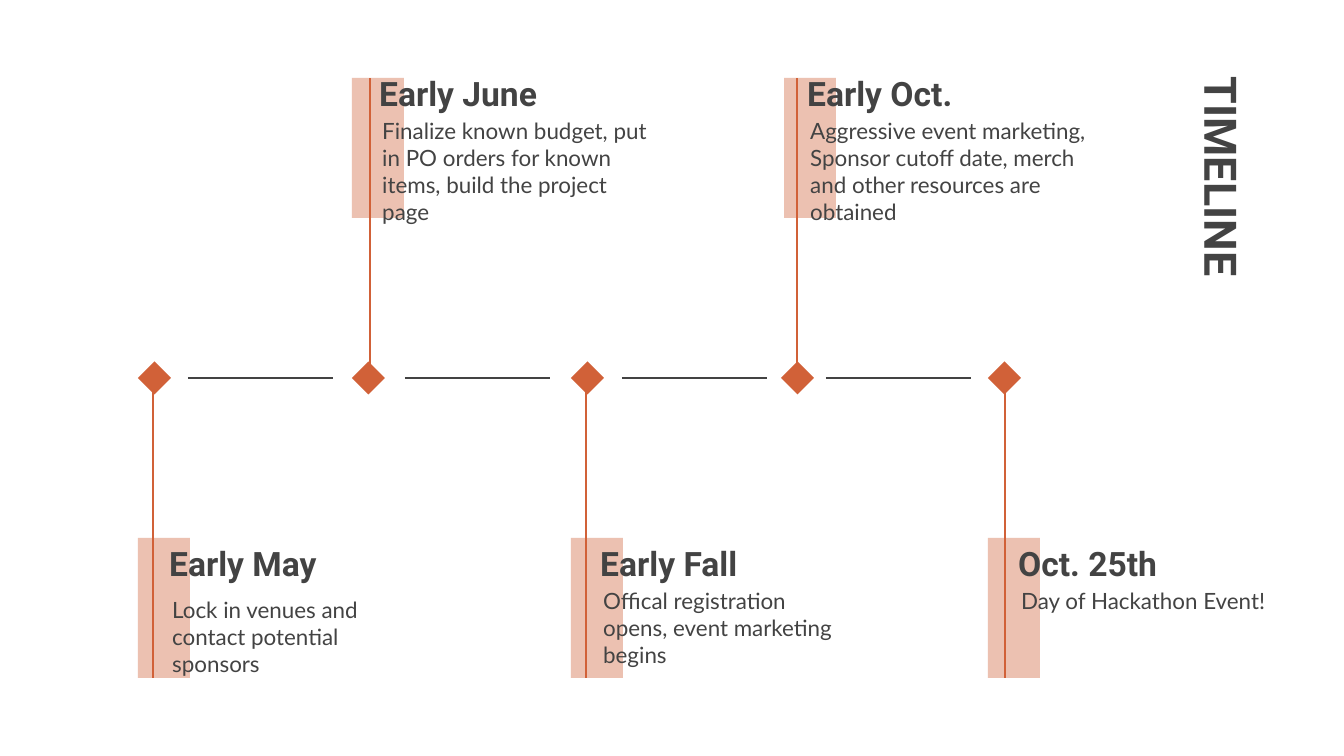
from dataclasses import dataclass

from lxml import etree
from pptx import Presentation
from pptx.dml.color import RGBColor
from pptx.enum.shapes import MSO_CONNECTOR, MSO_SHAPE
from pptx.enum.text import MSO_ANCHOR, MSO_AUTO_SIZE, PP_ALIGN
from pptx.oxml.ns import qn
from pptx.util import Emu, Pt

RECTANGLE, DIAMOND = MSO_SHAPE.RECTANGLE, MSO_SHAPE.DIAMOND
STRAIGHT = MSO_CONNECTOR.STRAIGHT
TOP, LEFT, NO_FIT = MSO_ANCHOR.TOP, PP_ALIGN.LEFT, MSO_AUTO_SIZE.NONE

# Content: wording and horizontal places in px
TITLE = "TIMELINE"
MILESTONES = [
    dict(name="Early May", text="Lock in venues and contact potential sponsors", row="below",
         marker=138, band=138, stem=153, label=156, label_width=214, text_width=274, drop=9),
    dict(name="Early June", row="above",
         text="Finalize known budget, put in PO orders for known items, build the project page",
         marker=352, band=352, stem=370, label=366, label_width=222, text_width=304, drop=0),
    dict(name="Early Fall", text="Offical registration opens, event marketing begins", row="below",
         marker=571, band=571, stem=586, label=587, label_width=184, text_width=274, drop=0),
    dict(name="Early Oct.", row="above",
         text="Aggressive event marketing, Sponsor cutoff date, merch and other resources are obtained",
         marker=781, band=784, stem=797, label=794, label_width=214, text_width=317, drop=0),
    dict(name="Oct. 25th", text="Day of Hackathon Event!", row="below",
         marker=988, band=988, stem=1005, label=1005, label_width=191, text_width=274, drop=0),
]
DASHES = [188, 405, 622, 826]

# Vertical places of the two rows, in px
ROWS = {
    "above": dict(band=78, stem=(387, 78), label=59, label_height=66, text=104, text_height=99),
    "below": dict(band=538, stem=(678, 379), label=530, label_height=62, text=574, text_height=94),
}
AXIS_Y, DASH_WIDTH, MARKER = 378, 145, 33
BAND_WIDTH, BAND_HEIGHT, TEXT_INDENT = 52, 140, 3


@dataclass(frozen=True)
class Theme:
    ink: str = "434343"
    accent: str = "D16138"
    tint: str = "DF957A"
    tint_alpha: int = 58
    heading_font: str = "Roboto"
    body_font: str = "Lato"
    title_size: int = 24
    label_size: int = 18
    body_size: int = 12
    line_width: float = 1.5


THEME = Theme()


def px(length):
    return Emu(round(length * 914400 / 134.4))


def add_block(shapes, kind, left, top, width, height, color):
    block = shapes.add_shape(kind, px(left), px(top), px(width), px(height))
    block.shadow.inherit = False
    block.fill.solid()
    block.fill.fore_color.rgb = RGBColor.from_string(color)
    block.line.fill.background()
    return block


def add_line(shapes, x1, y1, x2, y2, color):
    line = shapes.add_connector(STRAIGHT, px(x1), px(y1), px(x2), px(y2))
    line.line.color.rgb = RGBColor.from_string(color)
    line.line.width = Pt(THEME.line_width)
    etree.SubElement(line.element.spPr, qn("a:effectLst"))


def write(box, text, font, size, bold):
    frame = box.text_frame
    frame.text = text
    frame.word_wrap = True
    frame.auto_size = NO_FIT
    frame.vertical_anchor = TOP
    frame.margin_left = frame.margin_right = px(13.44)
    frame.margin_top = frame.margin_bottom = px(13.44)
    para = frame.paragraphs[0]
    para.alignment = LEFT
    para.line_spacing = 1.0
    span = para.runs[0]
    span.font.name = font
    span.font.size = Pt(size)
    span.font.bold = bold
    span.font.color.rgb = RGBColor.from_string(THEME.ink)


def add_text(shapes, left, top, width, height, *style):
    box = shapes.add_textbox(px(left), px(top), px(width), px(height))
    write(box, *style)


deck = Presentation()
deck.slide_width, deck.slide_height = px(1344), px(756)
slide = deck.slides.add_slide(deck.slide_layouts[5])
shapes = slide.shapes

# Title, turned to read downwards
title = shapes.title
title.left, title.top, title.width, title.height = px(971), px(284), px(512), px(71)
title.rotation = 90
write(title, TITLE, THEME.heading_font, THEME.title_size, True)

# Tinted bands and their stems
for milestone in MILESTONES:
    row = ROWS[milestone["row"]]
    band = add_block(shapes, RECTANGLE, milestone["band"], row["band"],
                     BAND_WIDTH, BAND_HEIGHT, THEME.tint)
    color = band.element.spPr.find(f".//{qn('a:srgbClr')}")
    etree.SubElement(color, qn("a:alpha"), val=str(THEME.tint_alpha * 1000))
    start, end = row["stem"]
    add_line(shapes, milestone["stem"], start, milestone["stem"], end, THEME.accent)

# Axis: diamonds and dashes in one group
axis = shapes.add_group_shape()
for milestone in MILESTONES:
    add_block(axis.shapes, DIAMOND, milestone["marker"], AXIS_Y - MARKER / 2,
              MARKER, MARKER, THEME.accent)
for left in DASHES:
    add_line(axis.shapes, left, AXIS_Y, left + DASH_WIDTH, AXIS_Y, THEME.ink)

# Milestone names and descriptions
for milestone in MILESTONES:
    row = ROWS[milestone["row"]]
    left = milestone["label"]
    add_text(shapes, left + TEXT_INDENT, row["text"] + milestone["drop"],
             milestone["text_width"], row["text_height"],
             milestone["text"], THEME.body_font, THEME.body_size, False)
    add_text(shapes, left, row["label"], milestone["label_width"], row["label_height"],
             milestone["name"], THEME.heading_font, THEME.label_size, True)

deck.save("out.pptx")
